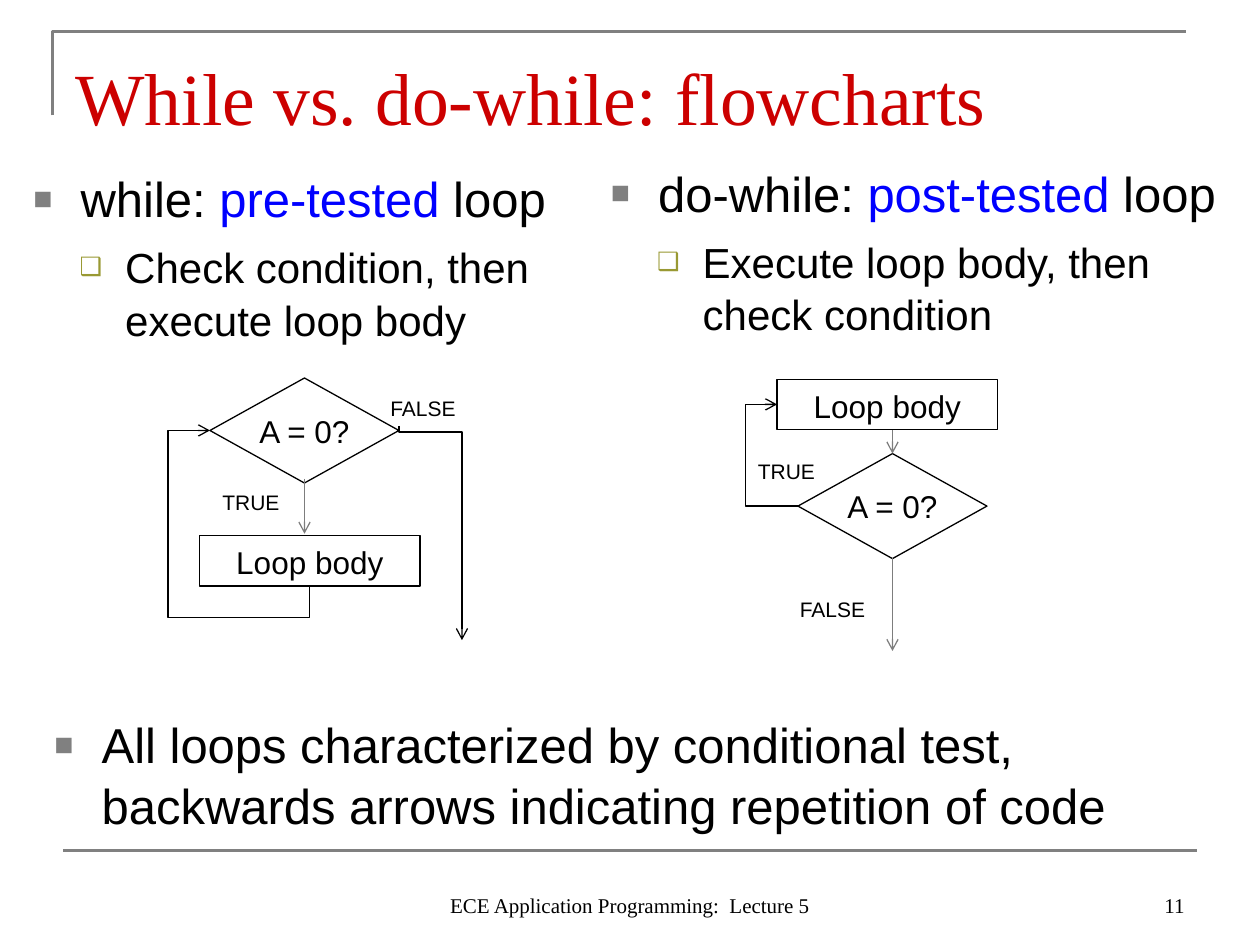
import pptx
import pptx.util
import pptx.dml.color
import pptx.enum.shapes
import pptx.enum.text
import pptx.oxml
import pptx.oxml.ns
import lxml.etree

Pt = pptx.util.Pt
qn = pptx.oxml.ns.qn
ALIGN = pptx.enum.text.PP_ALIGN
ANCHOR = pptx.enum.text.MSO_ANCHOR
SHAPE = pptx.enum.shapes.MSO_SHAPE
CONNECTOR = pptx.enum.shapes.MSO_CONNECTOR

BLACK, BLUE, RED, GRAY, OLIVE = "000000", "0000FF", "CC0000", "808080", "999933"
ARROW_GRAY = "7D7D7D"

TITLE = "While vs. do-while: flowcharts"
LEVELS = [
    dict(size=28, left=27, hang=27, bullet="■", bullet_color=GRAY, percent=65, before=0),
    dict(size=24, left=52.5, hang=26, bullet="❑", bullet_color=OLIVE, percent=60, before=7),
]
BODIES = [
    ((12, 91.5, 318, 392), [
        (0, [("while: ", BLACK), ("pre-tested", BLUE), (" loop", BLACK)]),
        (1, [("Check condition, then execute loop body", BLACK)]),
    ]),
    ((342, 88.5, 366, 392), [
        (0, [("do-while: ", BLACK), ("post-tested", BLUE), (" loop", BLACK)]),
        (1, [("Execute loop body, then check condition", BLACK)]),
    ]),
    ((24, 403.5, 672, 93), [
        (0, [("All loops characterized by conditional test, "
              "backwards arrows indicating repetition of code", BLACK)]),
    ]),
]
FOOTERS = [
    ("ECE Application Programming:  Lecture 5", (246, 492, 228, 36), ALIGN.CENTER),
    ("11", (516, 492, 168, 36), ALIGN.RIGHT),
]
TESTS = [(120, 216), (456, 259.2)]
LOOP_BODIES = [(114, 306), (444, 216.7)]
BRANCHES = [
    ("FALSE", (216, 222.5, 66, 21.6)),
    ("TRUE", (120, 276.5, 54, 21.6)),
    ("FALSE", (450, 337.5, 66, 21.6)),
    ("TRUE", (426, 258.5, 54, 21.6)),
]
STRAIGHT_ARROWS = [
    ((510, 319), (510, 372)),
    ((174, 273.6), (174, 305)),
    ((510, 246), (510, 259.2)),
]
ELBOW_ARROWS = [
    ((228, 243.4), (264, 365.8), 270, [2900]),
    ((177, 334.8), (120, 246), 270, [-20200, 142100]),
    ((456, 289.2), (444, 231.1), 180, [249900]),
]


def rgb(color):
    return pptx.dml.color.RGBColor.from_string(color)


def points(values):
    return [Pt(value) for value in values]


def add_bullet(paragraph, level):
    properties = paragraph._p.get_or_add_pPr()
    properties.set("marL", str(Pt(level["left"])))
    properties.set("indent", str(-Pt(level["hang"])))
    color = lxml.etree.SubElement(properties, qn("a:buClr"))
    lxml.etree.SubElement(color, qn("a:srgbClr"), val=level["bullet_color"])
    lxml.etree.SubElement(properties, qn("a:buSzPct"), val=str(level["percent"] * 1000))
    lxml.etree.SubElement(properties, qn("a:buFont"), typeface="Arial")
    lxml.etree.SubElement(properties, qn("a:buChar"), char=level["bullet"])


def write(frame, text, size=18, font="Arial", color=BLACK, align=ALIGN.LEFT,
          anchor=ANCHOR.TOP, wrap=True, top=3.6):
    frame.auto_size = pptx.enum.text.MSO_AUTO_SIZE.NONE
    frame.word_wrap = wrap
    frame.vertical_anchor = anchor
    frame.margin_left = frame.margin_right = Pt(7.2)
    frame.margin_top, frame.margin_bottom = Pt(top), Pt(3.6)
    content = [(None, [(text, color)])] if isinstance(text, str) else text
    for index, (depth, pieces) in enumerate(content):
        paragraph = frame.paragraphs[0] if index == 0 else frame.add_paragraph()
        paragraph.alignment = align
        level = None if depth is None else LEVELS[depth]
        if level:
            paragraph.level = depth
            add_bullet(paragraph, level)
            paragraph.line_spacing = 1.04
            paragraph.space_before = Pt(level["before"])
        for words, piece_color in pieces:
            run = paragraph.add_run()
            run.text = words
            run.font.size = Pt(level["size"] if level else size)
            run.font.name = font
            run.font.color.rgb = rgb(piece_color)


def add_text(slide, text, box, **text_format):
    write(slide.shapes.add_textbox(*points(box)).text_frame, text, **text_format)


def add_node(slide, kind, text, box, **text_format):
    node = slide.shapes.add_shape(kind, *points(box))
    node.shadow.inherit = False
    node.fill.background()
    node.line.color.rgb = rgb(BLACK)
    node.line.width = Pt(0.75)
    write(node.text_frame, text, align=ALIGN.CENTER, **text_format)


def add_line(slide, start, end, color, width=0.75, kind=CONNECTOR.STRAIGHT, arrow=True):
    line = slide.shapes.add_connector(kind, *points(start + end))
    line.line.color.rgb = rgb(color)
    line.line.width = Pt(width)
    lxml.etree.SubElement(line._element.spPr, qn("a:effectLst"))
    if arrow:
        lxml.etree.SubElement(line.line._get_or_add_ln(), qn("a:tailEnd"), type="arrow")
    return line


def add_elbow(slide, start, end, turn, bends):
    across, down = end[0] - start[0], end[1] - start[1]
    across, down = (-down, across) if turn == 270 else (-across, -down)
    middle = (start[0] + end[0]) / 2, (start[1] + end[1]) / 2
    line = add_line(slide, (middle[0] - across / 2, middle[1] - down / 2),
                    (middle[0] + across / 2, middle[1] + down / 2),
                    BLACK, kind=CONNECTOR.ELBOW)
    properties = line._element.spPr
    properties.find(qn("a:xfrm")).set("rot", str(turn * 60000))
    geometry = properties.find(qn("a:prstGeom"))
    geometry.set("prst", f"bentConnector{len(bends) + 2}")
    guides = geometry.find(qn("a:avLst"))
    for number, bend in enumerate(bends, 1):
        lxml.etree.SubElement(guides, qn("a:gd"), name=f"adj{number}", fmla=f"val {bend}")


def main():
    deck = pptx.Presentation()
    deck.slide_width, deck.slide_height = Pt(720), Pt(540)
    slide = deck.slides.add_slide(deck.slide_layouts[5])

    builder = slide.shapes.build_freeform(30, 66, scale=Pt(1))
    builder.add_line_segments([(30, 18), (678, 18)], close=False)
    corner = builder.convert_to_shape()
    corner.shadow.inherit = False
    corner.fill.background()
    corner.line.color.rgb = rgb(GRAY)
    corner.line.width = Pt(1.5)
    add_line(slide, (36, 486), (684, 486), GRAY, width=1.5, arrow=False)

    title = slide.shapes.title
    title.left, title.top, title.width, title.height = points((36, 21.6, 648, 56))
    write(title.text_frame, TITLE, size=42, font="Times New Roman", color=RED, top=8)

    for box, outline in BODIES:
        add_text(slide, outline, box)
    for text, box, align in FOOTERS:
        add_text(slide, text, box, size=12, font="Times New Roman",
                 align=align, anchor=ANCHOR.BOTTOM)
    for corner_point in TESTS:
        add_node(slide, SHAPE.FLOWCHART_DECISION, "A = 0?", corner_point + (108, 60),
                 anchor=ANCHOR.MIDDLE, wrap=False)
    for corner_point in LOOP_BODIES:
        add_node(slide, SHAPE.RECTANGLE, "Loop body", corner_point + (126, 28.9), top=4.5)
    for text, box in BRANCHES:
        add_text(slide, text, box, size=12)
    for start, end in STRAIGHT_ARROWS:
        add_line(slide, start, end, ARROW_GRAY)
    for elbow in ELBOW_ARROWS:
        add_elbow(slide, *elbow)

    deck.save("out.pptx")


if __name__ == "__main__":
    main()
